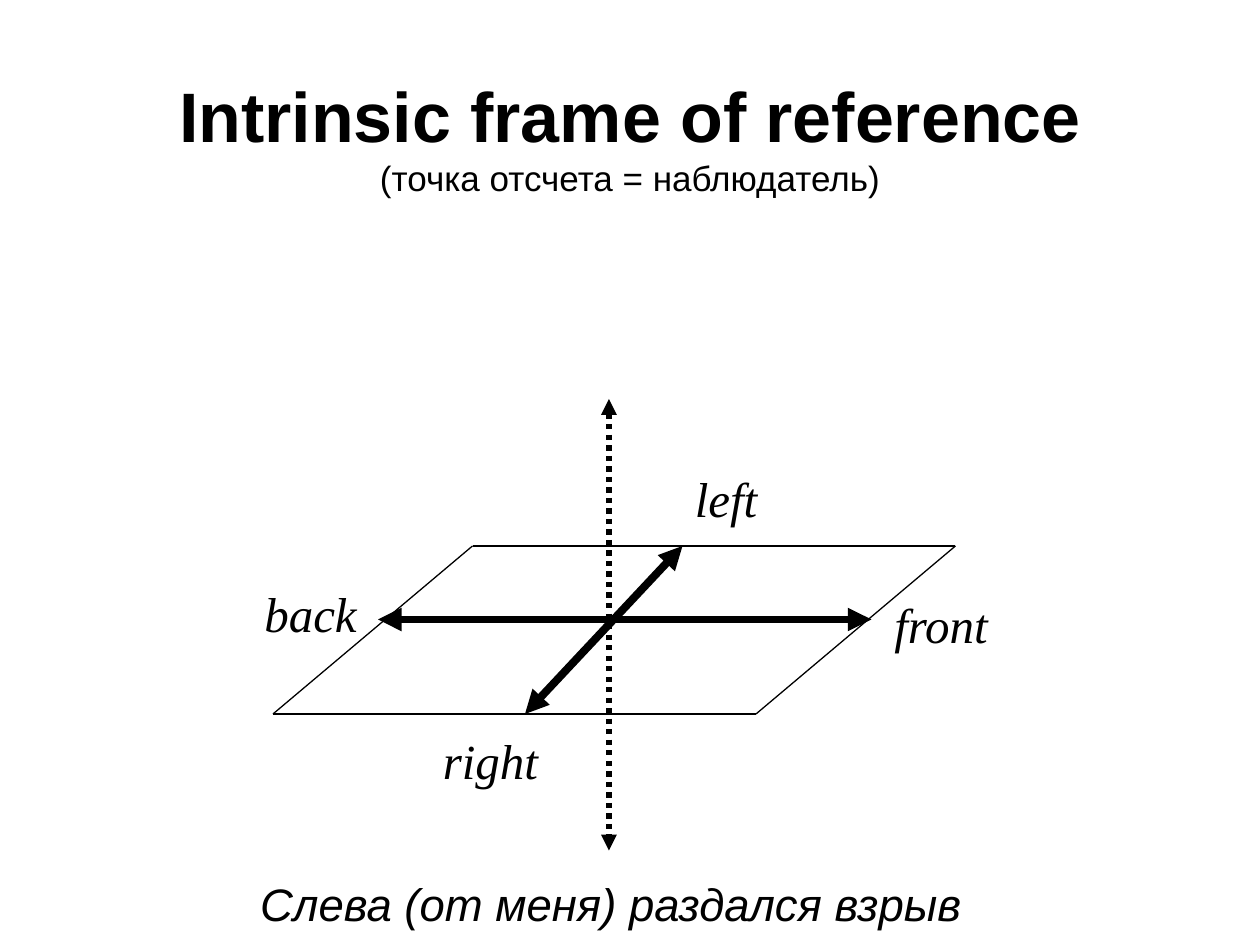
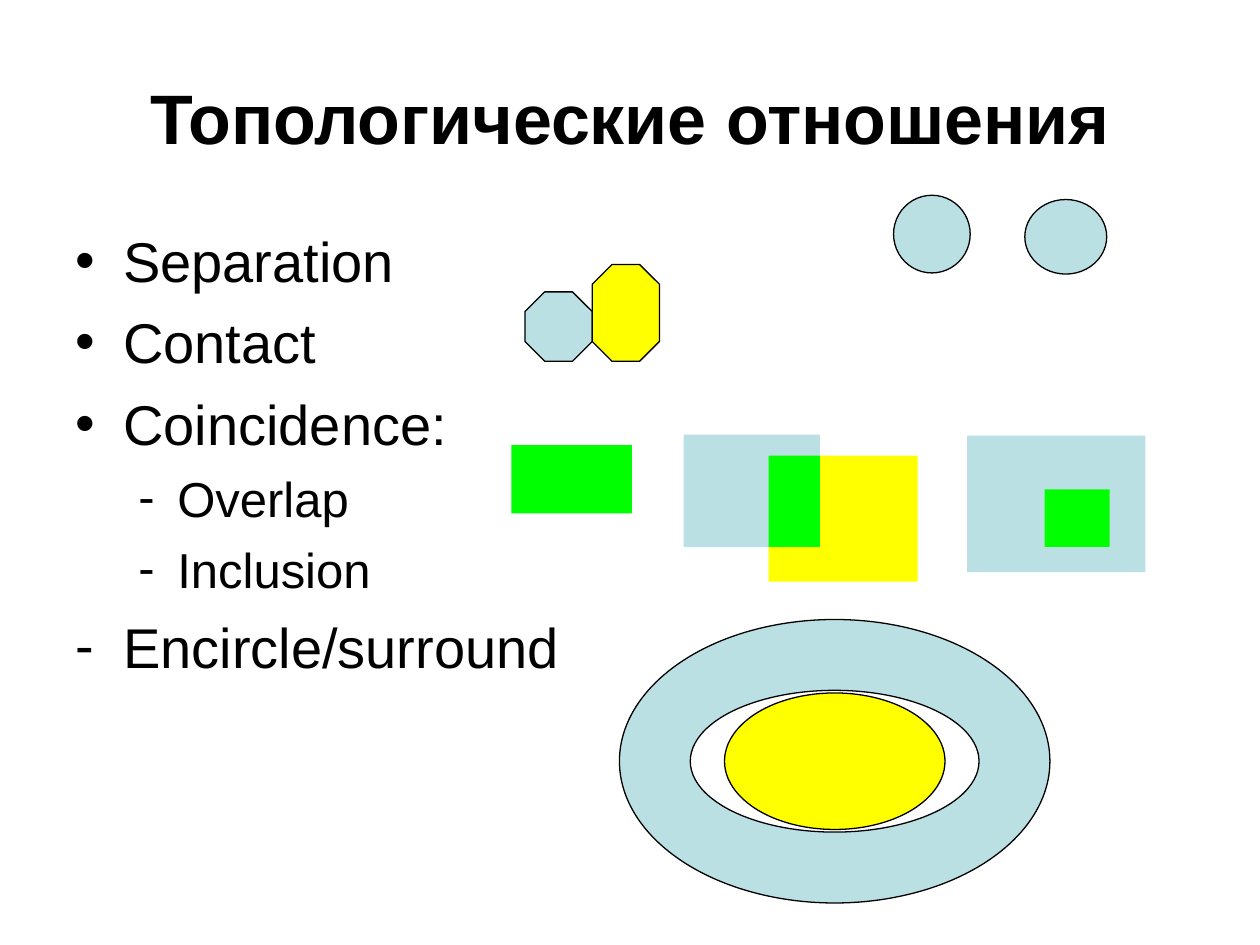
from lxml.etree import SubElement
from pptx import Presentation
from pptx.dml.color import RGBColor
from pptx.enum.dml import MSO_LINE
from pptx.enum.shapes import MSO_CONNECTOR, MSO_SHAPE
from pptx.enum.text import MSO_ANCHOR, MSO_AUTO_SIZE, PP_ALIGN
from pptx.oxml.ns import qn
from pptx.util import Inches, Pt

COLUMNS, ROWS = 120, 90
SLIDE_WIDTH, SLIDE_HEIGHT = Inches(10), Inches(7.5)
TITLE_ONLY = 5
BLACK, PALE_BLUE, YELLOW, GREEN = "000000", "BBE0E3", "FFFF00", "00FF00"
SANS, SERIF = "Arial", "Times New Roman"
# level: (font size, left margin, hanging indent, space before)
LEVELS = [(32, 0.38, 0.38, 8), (28, 0.81, 0.31, 7)]


def color(hex_string):
    return RGBColor.from_string(hex_string)


def grid(column, row):
    return (round(SLIDE_WIDTH * column / COLUMNS),
            round(SLIDE_HEIGHT * row / ROWS))


def area(column, row, columns, rows):
    return *grid(column, row), *grid(columns, rows)


def set_font(font, size, name=SANS, bold=False, italic=False):
    font.size, font.name = Pt(size), name
    font.bold, font.italic = bold, italic
    font.color.rgb = color(BLACK)


def add_titled_slide(deck, title, rows, subtitle=None):
    slide = deck.slides.add_slide(deck.slide_layouts[TITLE_ONLY])
    holder = slide.shapes.title
    holder.left, holder.top, holder.width, holder.height = area(6, 3.6, 108, rows)
    frame = holder.text_frame
    frame.auto_size = MSO_AUTO_SIZE.NONE
    frame.vertical_anchor = MSO_ANCHOR.MIDDLE
    paragraph = frame.paragraphs[0]
    paragraph.alignment = PP_ALIGN.CENTER
    heading = paragraph.add_run()
    heading.text = title
    set_font(heading.font, 40, bold=True)
    if subtitle:
        paragraph.add_line_break()
        note = paragraph.add_run()
        note.text = subtitle
        set_font(note.font, 20)
    return slide


def add_frame(slide, place):
    frame = slide.shapes.add_textbox(*area(*place)).text_frame
    frame.word_wrap = True
    return frame


def add_label(slide, text, place, size=28, name=SERIF, align=PP_ALIGN.LEFT):
    paragraph = add_frame(slide, place).paragraphs[0]
    paragraph.text = text
    paragraph.alignment = align
    set_font(paragraph.font, size, name, italic=True)


def add_line(slide, start, end, width=0.75, arrows=False, dash=None):
    connector = slide.shapes.add_connector(
        MSO_CONNECTOR.STRAIGHT, *grid(*start), *grid(*end))
    line = connector.line
    line.width = Pt(width)
    line.color.rgb = color(BLACK)
    if dash:
        line.dash_style = dash
    properties = connector.element.spPr
    if arrows:
        for tip in ("a:headEnd", "a:tailEnd"):
            SubElement(properties.find(qn("a:ln")), qn(tip), type="triangle")
    SubElement(properties, qn("a:effectLst"))


def add_figure(slide, preset, place, fill, outlined=True):
    figure = slide.shapes.add_shape(preset, *area(*place))
    figure.shadow.inherit = False
    figure.fill.solid()
    figure.fill.fore_color.rgb = color(fill)
    if outlined:
        figure.line.color.rgb = color(BLACK)
        figure.line.width = Pt(0.75)
    else:
        figure.line.fill.background()
    return figure


def add_bullets(slide, place, items):
    frame = add_frame(slide, place)
    for index, (level, mark, text) in enumerate(items):
        size, margin, hanging, gap = LEVELS[level]
        paragraph = frame.add_paragraph() if index else frame.paragraphs[0]
        paragraph.text = text
        paragraph.level = level
        properties = paragraph._p.get_or_add_pPr()
        properties.set("marL", str(Inches(margin)))
        properties.set("indent", str(-Inches(hanging)))
        SubElement(properties, qn("a:buFont"), typeface=SANS)
        SubElement(properties, qn("a:buChar"), char=mark)
        if index:
            paragraph.space_before = Pt(gap)
        set_font(paragraph.font, size)


def add_overlap(slide, first, second):
    """Two rectangles, the second lower right, with their common part green."""
    left, top, width, height = second
    right, bottom = first[0] + first[2], first[1] + first[3]
    common_width, common_height = right - left, bottom - top
    pieces = [
        (first, PALE_BLUE),
        ((left, top, common_width, common_height), GREEN),
        ((right, top, width - common_width, height), YELLOW),
        ((left, bottom, common_width, height - common_height), YELLOW),
    ]
    for place, fill in pieces:
        add_figure(slide, MSO_SHAPE.RECTANGLE, place, fill, outlined=False)


def build_reference_frame(deck):
    slide = add_titled_slide(deck, "Intrinsic frame of reference", 18.7,
                             "(точка отсчета = наблюдатель)")
    for start, end in [((83, 59), (36, 59)), ((65, 52), (50, 68))]:
        add_line(slide, start, end, 4.5, arrows=True)
    plane = [(45, 52), (26, 68), (72, 68), (91, 52)]
    for start, end in zip(plane, plane[1:] + plane[:1]):
        add_line(slide, start, end)
    add_line(slide, (58, 38), (58, 81), 3, arrows=True, dash=MSO_LINE.ROUND_DOT)
    for direction, column, row, columns in [
            ("front", 84, 56, 16), ("back", 24, 55, 12),
            ("right", 41, 69, 15), ("left", 65, 44, 16)]:
        add_label(slide, direction, (column, row, columns, 6.8))
    add_label(slide, "Слева (от меня) раздался взрыв", (10, 82.8, 96.4, 6.5),
              26, SANS, PP_ALIGN.CENTER)


def build_topology(deck):
    slide = add_titled_slide(deck, "Топологические отношения", 15)
    add_bullets(slide, (6, 21, 108, 59.4), [
        (0, "•", "Separation"),
        (0, "•", "Contact"),
        (0, "•", "Coincidence:"),
        (1, "-", "Overlap"),
        (1, "-", "Inclusion"),
        (0, "-", "Encircle/surround"),
    ])
    ring = add_figure(slide, MSO_SHAPE.DONUT, (59, 59, 41, 27), PALE_BLUE)
    ring.adjustments[0] = 0.25
    for place, fill in [((69, 66, 21, 13), YELLOW),
                        ((97.6, 19, 7.8, 7.1), PALE_BLUE),
                        ((85.1, 18.6, 7.3, 7.4), PALE_BLUE)]:
        add_figure(slide, MSO_SHAPE.OVAL, place, fill)
    for place, fill in [((50, 27.8, 6.4, 6.6), PALE_BLUE),
                        ((56.4, 25.2, 6.4, 9.2), YELLOW)]:
        add_figure(slide, MSO_SHAPE.OCTAGON, place, fill)
    add_figure(slide, MSO_SHAPE.RECTANGLE, (48.7, 42.4, 11.5, 6.5), GREEN, False)
    add_overlap(slide, (65.1, 41.4, 13, 10.7), (73.2, 43.4, 14.2, 12))
    for place, fill in [((92.1, 41.5, 17, 13), PALE_BLUE),
                        ((99.5, 46.6, 6.2, 5.5), GREEN)]:
        add_figure(slide, MSO_SHAPE.RECTANGLE, place, fill, outlined=False)


def main():
    deck = Presentation()
    deck.slide_width, deck.slide_height = SLIDE_WIDTH, SLIDE_HEIGHT
    build_reference_frame(deck)
    build_topology(deck)
    deck.save("out.pptx")


if __name__ == "__main__":
    main()
